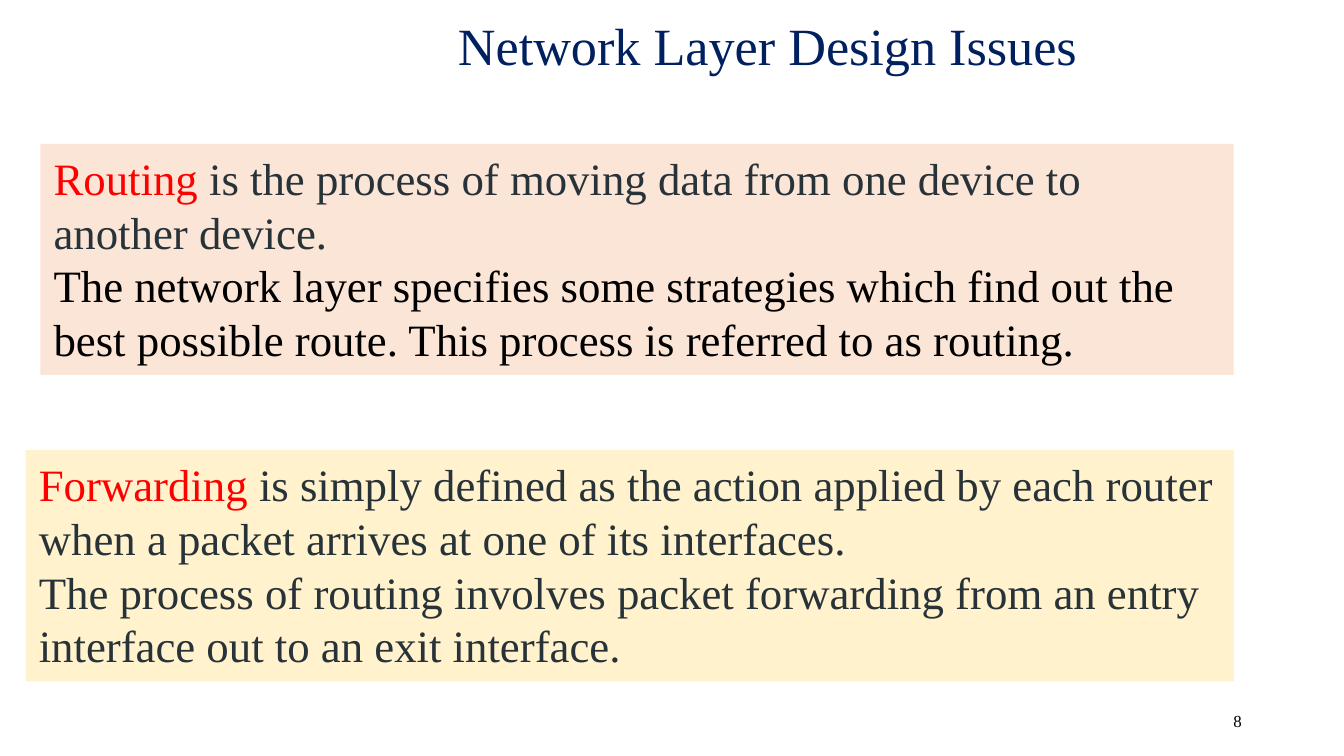
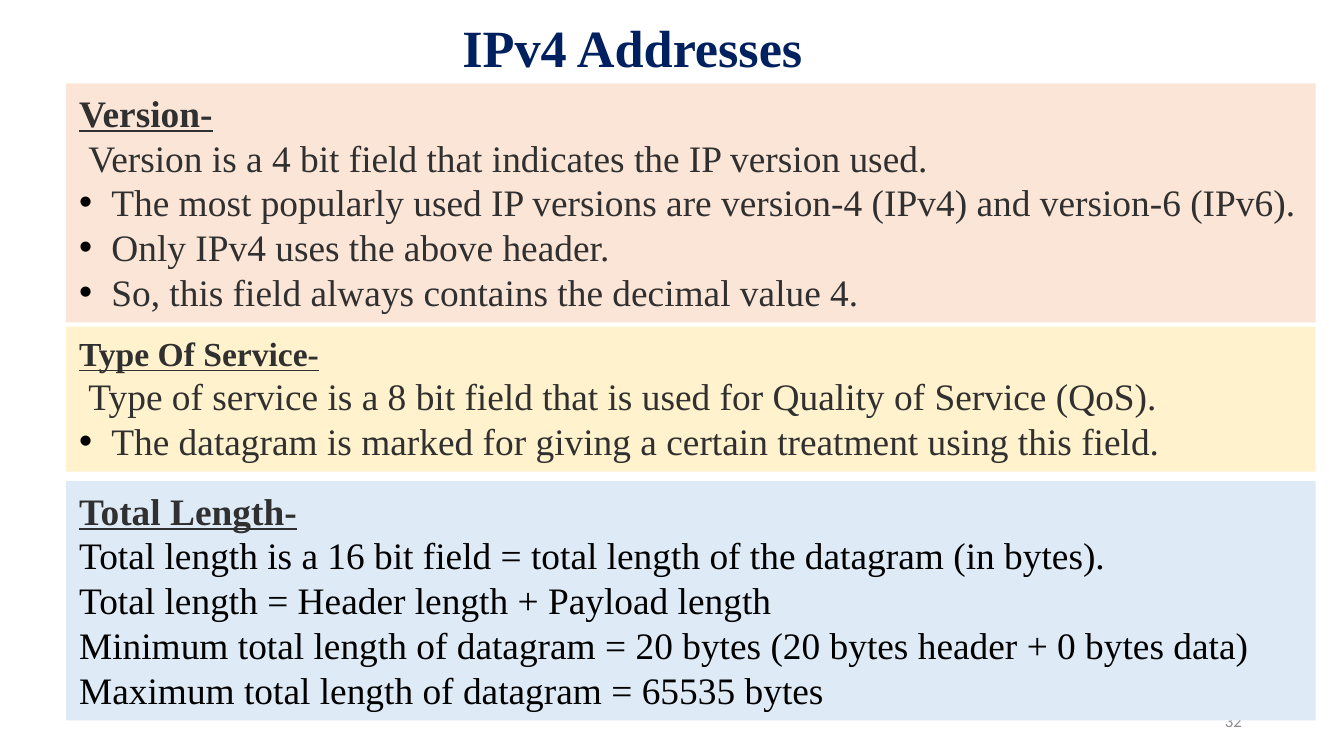
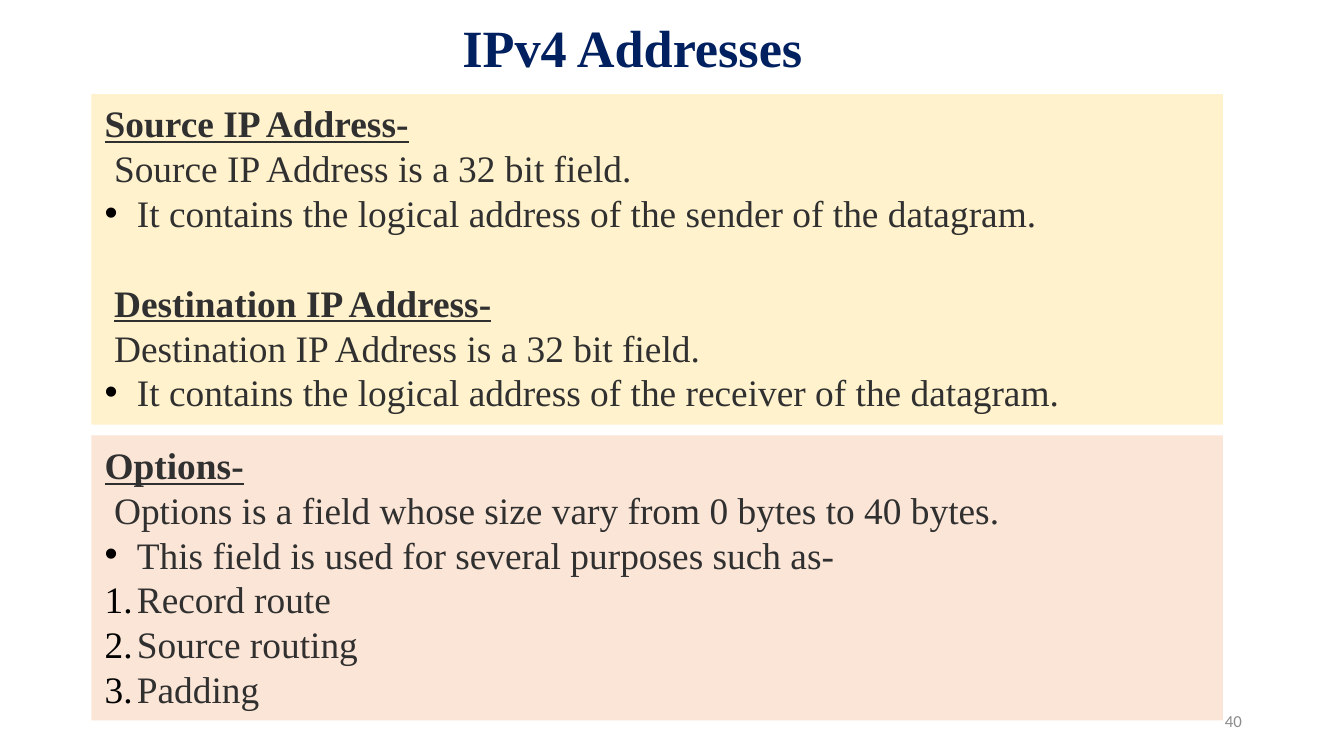
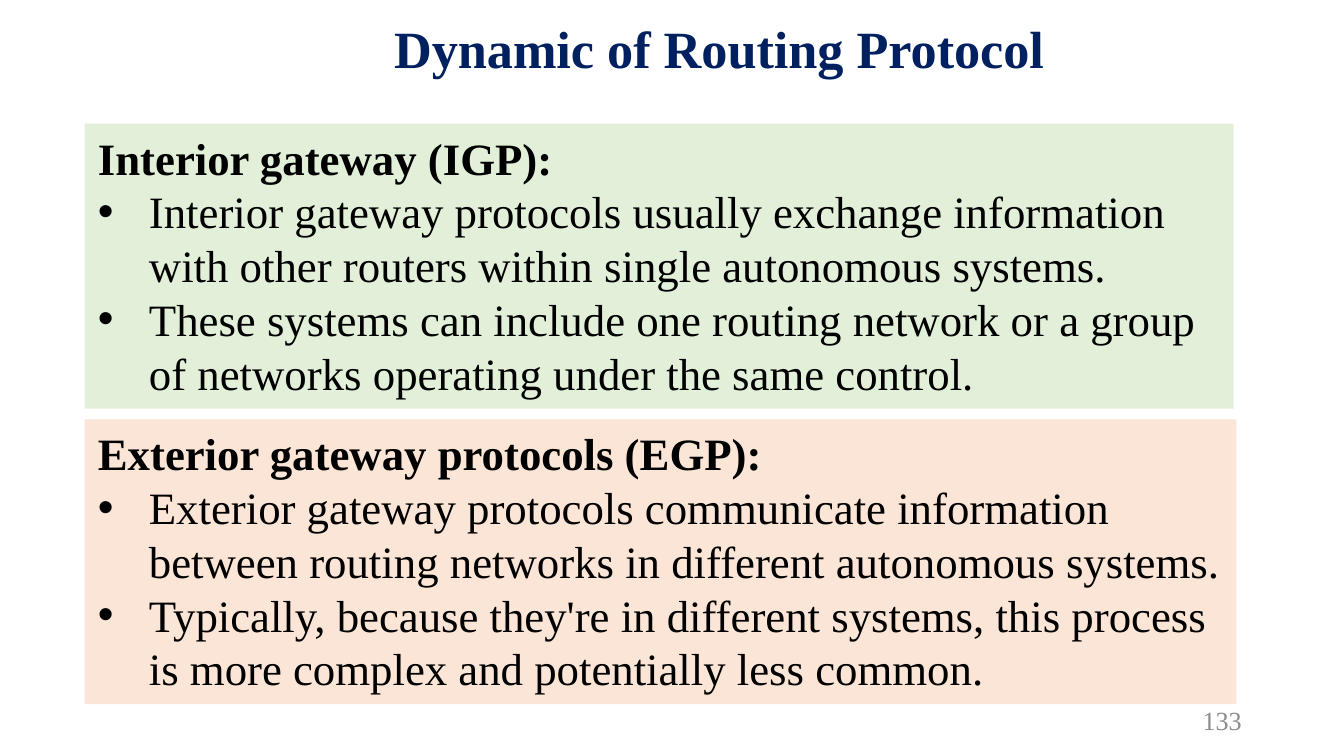
from dataclasses import dataclass

from lxml.etree import SubElement
from pptx import Presentation
from pptx.dml.color import RGBColor
from pptx.enum.shapes import MSO_SHAPE
from pptx.enum.text import MSO_ANCHOR, MSO_AUTO_SIZE, PP_ALIGN
from pptx.oxml.ns import qn
from pptx.util import Inches, Pt


@dataclass(frozen=True)
class Theme:
    serif: str = "Times New Roman"
    sans: str = "Calibri"
    navy: str = "002060"
    red: str = "FF0000"
    black: str = "000000"
    slate: str = "273239"
    charcoal: str = "303030"
    gray: str = "8C8C8C"
    peach: str = "FBE5D6"
    cream: str = "FFF2CC"
    sky: str = "DEEBF7"
    mint: str = "E2F0D9"
    title: int = 28
    large: int = 24
    medium: int = 20
    small: int = 18
    number: int = 9
    leading: float = 1.2


@dataclass(frozen=True)
class Style:
    color: str
    size: int
    bold: bool = False
    underline: bool = False
    marker: str = ""
    indent: float = 0
    space_before: int = 0


theme = Theme()
SLIM, WIDE = 0.24, 0.38
NUDGE = 0.07

STYLES = {
    "slate": Style(theme.slate, theme.large),
    "black": Style(theme.black, theme.large),
    "field": Style(theme.charcoal, theme.medium, True, True),
    "small field": Style(theme.charcoal, theme.small, True, True),
    "next field": Style(theme.charcoal, theme.medium, True, True,
                        indent=NUDGE, space_before=theme.medium * theme.leading),
    "meaning": Style(theme.charcoal, theme.medium, indent=NUDGE),
    "point": Style(theme.charcoal, theme.medium, marker="•", indent=SLIM),
    "step": Style(theme.charcoal, theme.medium, marker="1.", indent=SLIM),
    "formula": Style(theme.black, theme.medium),
    "protocol": Style(theme.black, theme.large, True),
    "protocol point": Style(theme.black, theme.large, marker="•", indent=WIDE),
}

# Places are left, top, width, height in grid cells: 100 columns by 56.25 rows.
# In a paragraph, the words before "|" are the red term being defined.
IPV4_TITLE = ("IPv4 Addresses", (11.6, 0.3, 70.9, 7), True, MSO_ANCHOR.MIDDLE)
IPV4_NUMBER = (theme.sans, theme.number, theme.gray)

SLIDES = [
    {
        "title": ("Network Layer Design Issues", (14.2, 1, 85.8, 5.1), False, MSO_ANCHOR.BOTTOM),
        "number": ("8", theme.serif, theme.number, theme.black),
        "boxes": [
            (theme.peach, (3, 10.7, 88.8, 17.2), [
                ("slate", "Routing| is the process of moving data from one device to another device."),
                ("black", "The network layer specifies some strategies which find out the best "
                          "possible route. This process is referred to as routing."),
            ]),
            (theme.cream, (1.9, 33.5, 89.9, 17.2), [
                ("slate", "Forwarding| is simply defined as the action applied by each router "
                          "when a packet arrives at one of its interfaces."),
                ("slate", "The process of routing involves packet forwarding from an entry "
                          "interface out to an exit interface."),
            ]),
        ],
    },
    {
        "title": IPV4_TITLE,
        "number": ("32", *IPV4_NUMBER),
        "boxes": [
            (theme.peach, (4.9, 6.2, 93, 17.8), [
                ("field", "Version-"),
                ("meaning", "Version is a 4 bit field that indicates the IP version used."),
                ("point", "The most popularly used IP versions are version-4 (IPv4) and version-6 (IPv6)."),
                ("point", "Only IPv4 uses the above header."),
                ("point", "So, this field always contains the decimal value 4."),
            ]),
            (theme.cream, (4.9, 24.3, 93, 10.8), [
                ("small field", "Type Of Service-"),
                ("meaning", "Type of service is a 8 bit field that is used for Quality of Service (QoS)."),
                ("point", "The datagram is marked for giving a certain treatment using this field."),
            ]),
            (theme.sky, (4.9, 35.8, 93, 17.8), [
                ("field", "Total Length-"),
                ("formula", "Total length is a 16 bit field = total length of the datagram (in bytes)."),
                ("formula", "Total length = Header length + Payload length"),
                ("formula", "Minimum total length of datagram = 20 bytes (20 bytes header + 0 bytes data)"),
                ("formula", "Maximum total length of datagram = 65535 bytes"),
            ]),
        ],
    },
    {
        "title": IPV4_TITLE,
        "number": ("40", *IPV4_NUMBER),
        "boxes": [
            (theme.cream, (6.8, 7, 84.2, 24.6), [
                ("field", "Source IP Address-"),
                ("meaning", "Source IP Address is a 32 bit field."),
                ("point", "It contains the logical address of the sender of the datagram."),
                ("next field", "Destination IP Address-"),
                ("meaning", "Destination IP Address is a 32 bit field."),
                ("point", "It contains the logical address of the receiver of the datagram."),
            ]),
            (theme.peach, (6.8, 32.4, 84.2, 21.2), [
                ("field", "Options-"),
                ("meaning", "Options is a field whose size vary from 0 bytes to 40 bytes."),
                ("point", "This field is used for several purposes such as-"),
                ("step", "Record route"),
                ("step", "Source routing"),
                ("step", "Padding"),
            ]),
        ],
    },
    {
        "title": ("Dynamic of Routing Protocol", (8.9, 1.2, 89.2, 5.1), True, MSO_ANCHOR.BOTTOM),
        "number": ("133", theme.serif, 14, theme.gray),
        "boxes": [
            (theme.mint, (6.3, 9.2, 85.5, 21.2), [
                ("protocol", "Interior gateway (IGP):"),
                ("protocol point", "Interior gateway protocols usually exchange information with "
                                   "other routers within single autonomous systems."),
                ("protocol point", "These systems can include one routing network or a group of "
                                   "networks operating under the same control."),
            ]),
            (theme.peach, (6.3, 31.2, 85.7, 21.2), [
                ("protocol", "Exterior gateway protocols (EGP):"),
                ("protocol point", "Exterior gateway protocols communicate information between "
                                   "routing networks in different autonomous systems."),
                ("protocol point", "Typically, because they're in different systems, this process "
                                   "is more complex and potentially less common."),
            ]),
        ],
    },
]

deck = Presentation()
deck.slide_width, deck.slide_height = Inches(10), Inches(5.625)
column, row = deck.slide_width / 100, deck.slide_height / 56.25


def on_grid(place):
    """Turn grid cells into slide lengths."""
    return [round(cells * unit) for cells, unit in zip(place, (column, row, column, row))]


def style_font(font, name, size, color, bold=False, underline=False):
    font.name, font.size, font.bold, font.underline = name, Pt(size), bold, underline
    font.color.rgb = RGBColor.from_string(color)


for content in SLIDES:
    page = deck.slides.add_slide(deck.slide_layouts.get_by_name("Title Only"))

    words, place, bold, anchor = content["title"]
    title = page.shapes.title
    title.left, title.top, title.width, title.height = on_grid(place)
    frame = title.text_frame
    frame.text = words
    frame.auto_size, frame.word_wrap = MSO_AUTO_SIZE.NONE, True
    frame.vertical_anchor = anchor
    frame.margin_left = frame.margin_right = Inches(0.07)
    frame.margin_top = frame.margin_bottom = Inches(0.04)
    para = frame.paragraphs[0]
    para.alignment, para.line_spacing = PP_ALIGN.CENTER, 0.85
    style_font(para.runs[0].font, theme.serif, theme.title, theme.navy, bold)

    words, *look = content["number"]
    frame = page.shapes.add_textbox(*on_grid((70.6, 52.1, 22.5, 3))).text_frame
    frame.text = words
    frame.word_wrap, frame.vertical_anchor = True, MSO_ANCHOR.MIDDLE
    frame.margin_left = frame.margin_right = Inches(0.07)
    frame.margin_top = frame.margin_bottom = Inches(0.04)
    frame.paragraphs[0].alignment = PP_ALIGN.RIGHT
    style_font(frame.paragraphs[0].runs[0].font, *look)

    for fill, place, lines in content["boxes"]:
        box = page.shapes.add_shape(MSO_SHAPE.RECTANGLE, *on_grid(place))
        box.shadow.inherit = False
        box.fill.solid()
        box.fill.fore_color.rgb = RGBColor.from_string(fill)
        box.line.fill.background()
        frame = box.text_frame
        frame.word_wrap, frame.vertical_anchor = True, MSO_ANCHOR.TOP

        for index, (kind, words) in enumerate(lines):
            style = STYLES[kind]
            para = frame.add_paragraph() if index else frame.paragraphs[0]
            properties = para._p.get_or_add_pPr()
            properties.set("marL", str(Inches(style.indent)))
            if style.marker:
                properties.set("indent", str(-Inches(style.indent)))
                marker_color = SubElement(properties, qn("a:buClr"))
                SubElement(marker_color, qn("a:srgbClr"), val=theme.black)
                if style.marker == "•":
                    SubElement(properties, qn("a:buFont"), typeface="Arial")
                    SubElement(properties, qn("a:buChar"), char=style.marker)
                else:
                    SubElement(properties, qn("a:buFont"), typeface=theme.serif)
                    SubElement(properties, qn("a:buAutoNum"), type="arabicPeriod")
            para.alignment = PP_ALIGN.LEFT
            para.line_spacing = Pt(style.size * theme.leading)
            if style.space_before:
                para.space_before = Pt(style.space_before)

            term, mark, rest = words.partition("|")
            parts = [(term, theme.red), (rest, style.color)] if mark else [(words, style.color)]
            for part, color in parts:
                span = para.add_run()
                span.text = part
                style_font(span.font, theme.serif, style.size, color, style.bold, style.underline)

deck.save("out.pptx")
